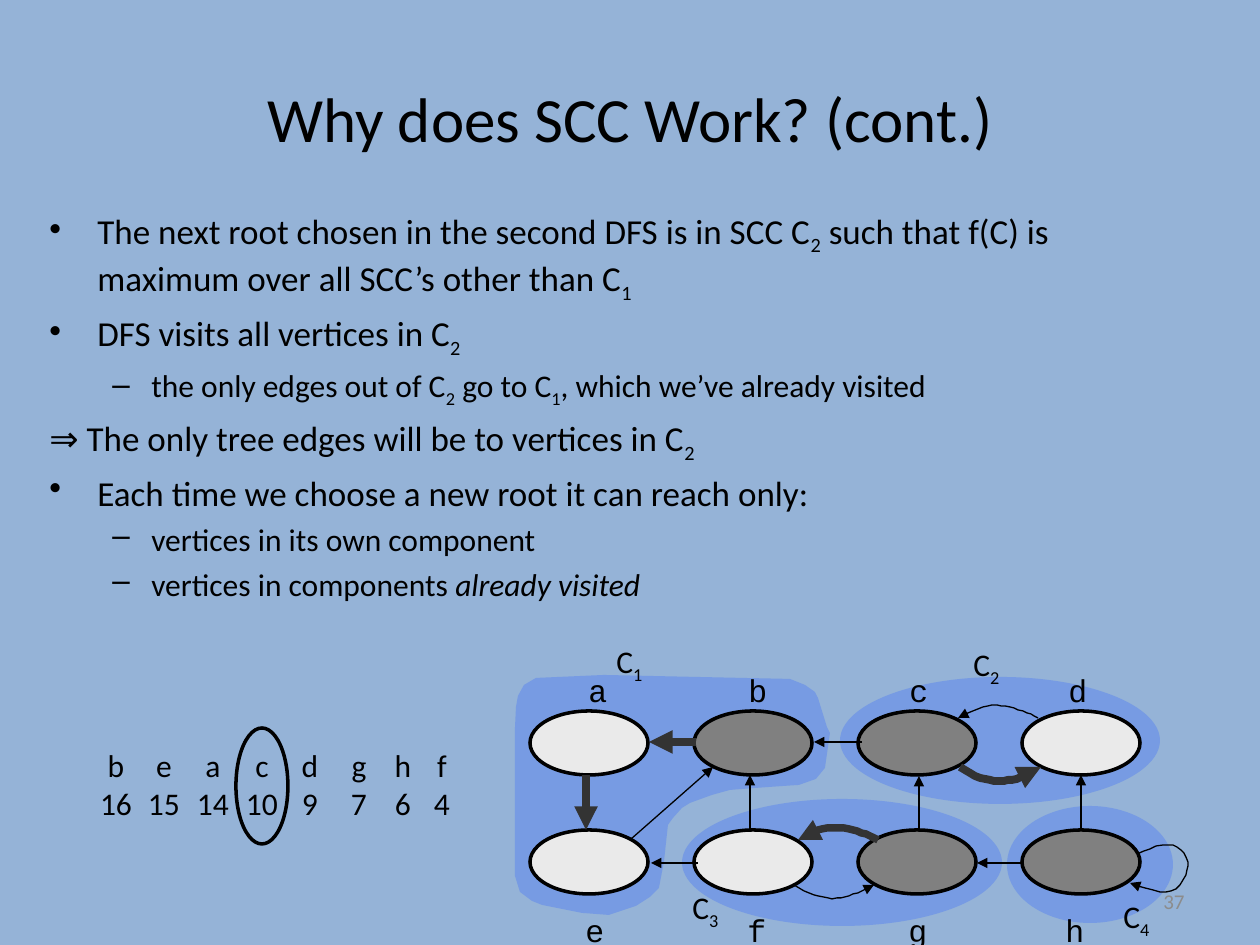
"""Builds the slide on why the SCC algorithm works, with its component graph."""
from lxml import etree
from pptx import Presentation, util as u
from pptx.dml.color import RGBColor
from pptx.enum import shapes, text
from pptx.oxml.ns import qn

SKY = RGBColor(0x95, 0xB3, 0xD7)
BLUE = RGBColor(0x33, 0x66, 0xFF)
BLACK = RGBColor(0, 0, 0)
DARK = RGBColor(0x33, 0x33, 0x33)
GRAY = RGBColor(0x80, 0x80, 0x80)
PALE = RGBColor(0xEA, 0xEA, 0xEA)
NUMBER = RGBColor(0x8C, 0x8C, 0x8C)
LEFT, CENTER, RIGHT = text.PP_ALIGN.LEFT, text.PP_ALIGN.CENTER, text.PP_ALIGN.RIGHT
THIN, THICK = 0.75, 4.5

BODY = [
    (0, "•", "The next root chosen in the second DFS is in SCC C|_2| such that f(C) is "
             "maximum over all SCC’s other than C|_1"),
    (0, "•", "DFS visits all vertices in C|_2"),
    (1, "–", "the only edges out of C|_2| go to C|_1|, which we’ve already visited"),
    (0, None, "⇒ The only tree edges will be to vertices in C|_2"),
    (0, "•", "Each time we choose a new root it can reach only:"),
    (1, "–", "vertices in its own component"),
    (1, "–", "vertices in components |/already visited"),
]
FIRST_COMPONENT = [
    (536, 678), (604, 675), (790, 679), (805, 685), (815, 692), (818, 698), (827, 727),
    (830, 733), (825, 768), (816, 779), (799, 785), (784, 786), (756, 788), (730, 790),
    (712, 795), (701, 799), (690, 803), (682, 808), (673, 818), (668, 825), (664, 862),
    (659, 888), (650, 897), (636, 906), (609, 915), (582, 913), (572, 911), (542, 905),
    (532, 901), (520, 892), (515, 876), (515, 728), (516, 707), (518, 696), (524, 685),
]
COMPONENTS = [(1007, 806, 166, 117), (840, 677, 320, 127), (682, 799, 320, 127)]
COMPONENT_LABELS = [(604, 636), (961, 639), (680, 882), (1111, 891)]
NODE_ROWS = [
    (711, 665, [("a", 576, PALE), ("b", 736, GRAY), ("c", 897, GRAY), ("d", 1056, PALE)]),
    (830, 905, [("e", 573, PALE), ("f", 735, PALE), ("g", 896, GRAY), ("h", 1053, GRAY)]),
]
EDGES = [
    ((696, 742), (649, 742), DARK, THICK), ((862, 742), (814, 742), BLACK, THIN),
    ((698, 863), (651, 863), BLACK, THIN), ((1024, 863), (977, 863), BLACK, THIN),
    ((586, 775), (586, 830), DARK, THICK), ((750, 830), (750, 775), BLACK, THIN),
    ((919, 831), (919, 776), BLACK, THIN), ((1081, 830), (1081, 775), BLACK, THIN),
    ((631, 839), (713, 767), BLACK, THIN),
]
CURVES = [
    ([(878, 840), (869, 836), (862, 832), (853, 830), (844, 828), (837, 827), (827, 828),
      (818, 829), (808, 835), (798, 840)], DARK, 4.25),
    ([(1038, 718), (1031, 714), (1023, 711), (1014, 708), (1005, 706), (997, 704), (988, 706),
      (978, 708), (968, 713), (958, 718)], BLACK, THIN),
    ([(960, 767), (970, 774), (980, 779), (990, 780), (999, 782), (1008, 780), (1017, 779),
      (1026, 776), (1033, 772), (1041, 767)], DARK, THICK),
    ([(794, 885), (804, 891), (814, 896), (823, 897), (833, 900), (841, 898), (849, 896),
      (858, 893), (866, 890), (874, 885)], BLACK, THIN),
    ([(1137, 854), (1150, 848), (1164, 843), (1173, 845), (1181, 847), (1189, 858), (1188, 866),
      (1188, 873), (1181, 888), (1171, 891), (1162, 895), (1145, 888), (1130, 883)], BLACK, THIN),
]
FINISH_TIMES = [
    ("b", "16", 116), ("e", "15", 164), ("a", "14", 213), ("c", "10", 262),
    ("d", "9", 310), ("g", "7", 359), ("h", "6", 403), ("f", "4", 442),
]


def px(length):
    """Turns pixels into EMU."""
    return u.Inches(length / 126)


def bezier_points(controls, steps=6):
    """Samples a chain of cubic curves into points."""
    points = [controls[0]]
    for start in range(0, len(controls) - 1, 3):
        a, b, c, d = controls[start:start + 4]
        for step in range(1, steps + 1):
            t = step / steps
            s = 1 - t
            points.append(tuple(
                round(s**3 * a[k] + 3 * s * s * t * b[k] + 3 * s * t * t * c[k] + t**3 * d[k], 2)
                for k in (0, 1)))
    return points


class Painter:
    """Holds the text style and the current slide."""

    def __init__(self, page, font="Calibri", color=BLACK):
        self.page, self.font, self.color = page, font, color

    def add_text(self, place, lines, size=18, align=LEFT, wrap=True, font=None, color=None,
                 anchor=text.MSO_ANCHOR.TOP):
        box = self.page.shapes.add_textbox(*map(px, place))
        frame = box.text_frame
        frame.word_wrap, frame.vertical_anchor = wrap, anchor
        for index, line in enumerate(lines):
            para = frame.paragraphs[0] if index == 0 else frame.add_paragraph()
            para.alignment = align
            self.fill_para(para, line, size, font, color)
        return frame

    def fill_para(self, para, line, size, font=None, color=None):
        para.font.size, para.font.name = u.Pt(size), font or self.font
        para.font.color.rgb = color or self.color
        for part in line.split("|"):
            span = para.add_run()
            span.text = part.lstrip("_/")
            if part.startswith("_"):
                span.font._element.set("baseline", "-25000")
            elif part.startswith("/"):
                span.font.italic = True

    def bullets(self, place, items):
        frame = self.add_text(place, [line for _, _, line in items], 20)
        for para, (level, mark, _) in zip(frame.paragraphs, items):
            para.level = level
            para.font.size = u.Pt(20 - 2 * level)
            para.space_before = u.Pt(4)
            margin, hang = ((48, 48), (102, 39))[level]
            props = para._p.get_or_add_pPr()
            props.set("marL", str(px(margin)))
            props.set("indent", str(-px(hang)))
            bullet = etree.Element(qn("a:buChar" if mark else "a:buNone"))
            if mark:
                bullet.set("char", mark)
            props.find(qn("a:defRPr")).addprevious(bullet)

    def paint(self, shape, fill=None, alpha=None, line=None, width=2):
        shape.shadow.inherit = False
        if fill is None:
            shape.fill.background()
        else:
            shape.fill.solid()
            shape.fill.fore_color.rgb = fill
        if alpha:
            tint = shape._element.spPr.find(qn("a:solidFill")).find(qn("a:srgbClr"))
            etree.SubElement(tint, qn("a:alpha"), val=str(alpha * 1000))
        if line is None:
            shape.line.fill.background()
        else:
            shape.line.color.rgb, shape.line.width = line, u.Pt(width)

    def ellipse(self, place, **style):
        shape = self.page.shapes.add_shape(shapes.MSO_SHAPE.OVAL, *map(px, place))
        self.paint(shape, **style)

    def outline(self, points, close, **style):
        builder = self.page.shapes.build_freeform(*points[0], scale=px(126) / 126)
        builder.add_line_segments(points[1:], close=close)
        shape = builder.convert_to_shape()
        self.paint(shape, **style)
        return shape

    def add_head(self, shape):
        stroke = shape._element.spPr.find(qn("a:ln"))
        etree.SubElement(stroke, qn("a:tailEnd"), type="triangle")

    def curve(self, controls, color, width):
        shape = self.outline(bezier_points(controls), False, line=color, width=width)
        self.add_head(shape)

    def arrow(self, start, end, color, width):
        line = self.page.shapes.add_connector(
            shapes.MSO_CONNECTOR.STRAIGHT, *map(px, start + end))
        line.line.color.rgb, line.line.width = color, u.Pt(width)
        self.add_head(line)
        etree.SubElement(line._element.spPr, qn("a:effectLst"))


def main():
    """Draws the slide and saves it."""
    deck = Presentation()
    deck.slide_width, deck.slide_height = px(1260), px(945)
    page = deck.slides.add_slide(deck.slide_layouts[6])
    page.background.fill.solid()
    page.background.fill.fore_color.rgb = SKY
    painter = Painter(page)
    middle = text.MSO_ANCHOR.MIDDLE

    painter.add_text((63, 38, 1134, 158), ["Why does SCC Work? (cont.)"], 36, CENTER,
                     anchor=middle)
    painter.bullets((37, 203, 1134, 491), BODY)

    painter.outline(FIRST_COMPONENT, True, fill=BLUE, alpha=30)
    for place in COMPONENTS:
        painter.ellipse(place, fill=BLUE, alpha=30)
    for number, corner in enumerate(COMPONENT_LABELS, 1):
        painter.add_text(corner + (60, 50), [f"C|_{number}"], wrap=False)

    for top, label_top, nodes in NODE_ROWS:
        for column, (name, label_left, fill) in enumerate(nodes):
            painter.ellipse((530 + 164 * column, top, 118, 64), fill=fill, line=BLACK)
            painter.add_text((label_left, label_top, 39, 50), [name], wrap=False,
                             font="Courier New")
    for edge in EDGES:
        painter.arrow(*edge)
    for curve in CURVES:
        painter.curve(*curve)

    for name, finish, center in FINISH_TIMES:
        painter.add_text((center - 30, 740, 60, 89), [name, finish], align=CENTER)
    painter.ellipse((236, 728, 52, 116), line=BLACK)
    painter.add_text((903, 876, 294, 50), ["37"], 12, RIGHT, color=NUMBER, anchor=middle)
    deck.save("out.pptx")


if __name__ == "__main__":
    main()
